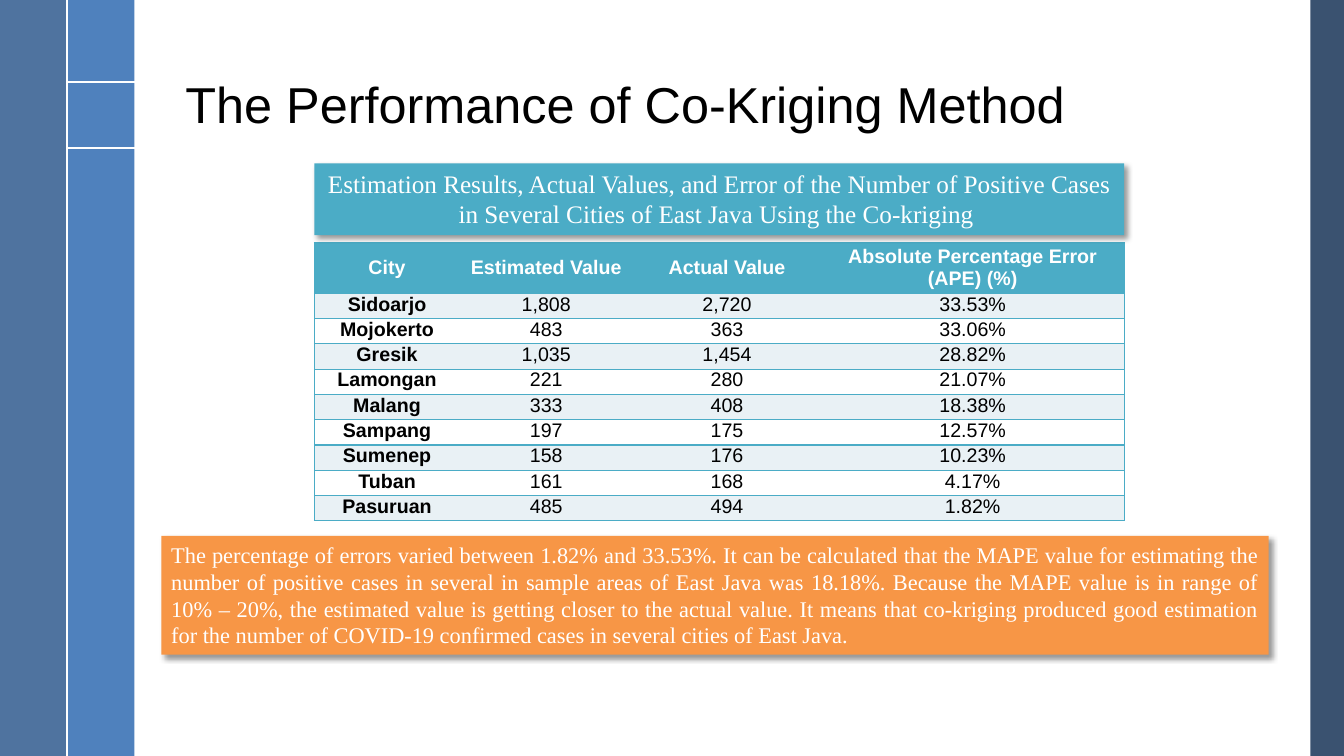
import dataclasses
import typing

import lxml.etree
import pptx
import pptx.dml.color
import pptx.enum.shapes
import pptx.enum.text
import pptx.oxml
import pptx.oxml.ns
import pptx.util

RGB = pptx.dml.color.RGBColor
ALIGN = pptx.enum.text.PP_ALIGN
ANCHOR = pptx.enum.text.MSO_ANCHOR

NAVY = RGB(0x25, 0x40, 0x61)
BLUE = RGB(0x4F, 0x81, 0xBD)
STEEL = RGB(0x37, 0x60, 0x92)
TEAL = RGB(0x4B, 0xAC, 0xC6)
PALE = RGB(0xE9, 0xF1, 0xF5)
ORANGE = RGB(0xF7, 0x96, 0x46)
WHITE = RGB(0xFF, 0xFF, 0xFF)
BLACK = RGB(0x00, 0x00, 0x00)

SLIDE_WIDTH = pptx.util.Inches(13.33)
SLIDE_HEIGHT = pptx.util.Inches(7.5)
COLUMNS, ROWS = 20, 10


@dataclasses.dataclass(frozen=True)
class Area:
    left: float
    top: float
    width: float
    height: float

    def lengths(self) -> tuple[int, int, int, int]:
        return col(self.left), row(self.top), col(self.width), row(self.height)


@dataclasses.dataclass(frozen=True)
class Bar:
    area: Area
    color: RGB
    opacity: int


@dataclasses.dataclass(frozen=True)
class Rule:
    start: tuple[float, float]
    end: tuple[float, float]


@dataclasses.dataclass(frozen=True)
class Callout:
    area: Area
    color: RGB
    size: int
    align: ALIGN
    text: str


class CityResult(typing.NamedTuple):
    city: str
    estimated: str
    actual: str
    error: str


BARS = [
    Bar(Area(19.5, 0, 0.5, ROWS), NAVY, 90),
    Bar(Area(1, 0, 1, ROWS), BLUE, 100),
    Bar(Area(0, 0, 1, ROWS), STEEL, 88),
]
RULES = [
    Rule((1, 1.08), (2.01, 1.08)),
    Rule((1, 1.96), (2.01, 1.96)),
    Rule((1, 0), (1, ROWS)),
]
TITLE_AREA = Area(2.61, 0.25, 16.05, 1.59)
TABLE_AREA = Area(4.68, 3.21, 12.05, 3.68)
TABLE_COLUMNS = [2.16, 2.58, 2.8, 4.51]
HEADER_HEIGHT = 0.67
RESULTS = [
    CityResult("City", "Estimated Value", "Actual Value", "Absolute Percentage Error (APE) (%)"),
    CityResult("Sidoarjo", "1,808", "2,720", "33.53%"),
    CityResult("Mojokerto", "483", "363", "33.06%"),
    CityResult("Gresik", "1,035", "1,454", "28.82%"),
    CityResult("Lamongan", "221", "280", "21.07%"),
    CityResult("Malang", "333", "408", "18.38%"),
    CityResult("Sampang", "197", "175", "12.57%"),
    CityResult("Sumenep", "158", "176", "10.23%"),
    CityResult("Tuban", "161", "168", "4.17%"),
    CityResult("Pasuruan", "485", "494", "1.82%"),
]
CALLOUTS = [
    Callout(Area(4.68, 2.16, 12.05, 0.95), TEAL, 18, ALIGN.CENTER,
            "Estimation Results, Actual Values, and Error of the Number of Positive Cases "
            "in Several Cities of East Java Using the Co-kriging "),
    Callout(Area(2.4, 7.09, 16.48, 1.57), ORANGE, 16, ALIGN.JUSTIFY,
            "The percentage of errors varied between 1.82% and 33.53%. It can be calculated that "
            "the MAPE value for estimating the number of positive cases in several in sample areas "
            "of East Java was 18.18%. Because the MAPE value is in range of 10% – 20%, the estimated "
            "value is getting closer to the actual value. It means that co-kriging produced good "
            "estimation for the number of COVID-19 confirmed cases in several cities of East Java. "),
]


def col(count: float) -> int:
    return round(SLIDE_WIDTH * count / COLUMNS)


def row(count: float) -> int:
    return round(SLIDE_HEIGHT * count / ROWS)


def element(parent, tag: str, **attributes: str):
    return lxml.etree.SubElement(parent, pptx.oxml.ns.qn(tag), attributes)


def style_text(frame, font: str, size: int, color: RGB, align: ALIGN, bold: bool = False) -> None:
    paragraph = frame.paragraphs[0]
    paragraph.alignment = align
    for run in paragraph.runs:
        run.font.name = font
        run.font.size = pptx.util.Pt(size)
        run.font.bold = bold
        run.font.color.rgb = color


def add_box(slide, area: Area, color: RGB):
    box = slide.shapes.add_shape(pptx.enum.shapes.MSO_SHAPE.RECTANGLE, *area.lengths())
    box.shadow.inherit = False
    box.fill.solid()
    box.fill.fore_color.rgb = color
    box.line.fill.background()
    return box


def add_bar(slide, bar: Bar) -> None:
    box = add_box(slide, bar.area, bar.color)
    if bar.opacity < 100:
        tint = box.fill._xPr.find(".//" + pptx.oxml.ns.qn("a:srgbClr"))
        element(tint, "a:alpha", val=str(bar.opacity * 1000))


def add_rule(slide, rule: Rule) -> None:
    (x1, y1), (x2, y2) = rule.start, rule.end
    line = slide.shapes.add_connector(
        pptx.enum.shapes.MSO_CONNECTOR.STRAIGHT, col(x1), row(y1), col(x2), row(y2))
    line.line.color.rgb = WHITE
    line.line.width = pptx.util.Pt(1.5)
    element(line._element.spPr, "a:effectLst")


def add_title(slide, text: str) -> None:
    title = slide.shapes.title
    title.left, title.top, title.width, title.height = TITLE_AREA.lengths()
    title.text_frame.text = text
    title.text_frame.vertical_anchor = ANCHOR.BOTTOM
    title.text_frame.paragraphs[0].line_spacing = 0.9
    style_text(title.text_frame, "Arial", 36, BLACK, ALIGN.LEFT)


def set_borders(cell, visible: set[str]) -> None:
    properties = cell._tc.get_or_add_tcPr()
    for position, side in enumerate("LRTB"):
        border = element(properties, f"a:ln{side}", w=str(pptx.util.Pt(1)))
        if side in visible:
            element(element(border, "a:solidFill"), "a:srgbClr", val=str(TEAL))
        else:
            element(border, "a:noFill")
        properties.insert(position, border)


def add_results(slide) -> None:
    table = slide.shapes.add_table(len(RESULTS), len(TABLE_COLUMNS), *TABLE_AREA.lengths()).table
    body_height = (TABLE_AREA.height - HEADER_HEIGHT) / (len(RESULTS) - 1)
    for column, width in zip(table.columns, TABLE_COLUMNS):
        column.width = col(width)
    for r, result in enumerate(RESULTS):
        header = r == 0
        table.rows[r].height = row(HEADER_HEIGHT if header else body_height)
        for c, value in enumerate(result):
            cell = table.cell(r, c)
            cell.text_frame.text = value
            cell.margin_left = cell.margin_right = pptx.util.Inches(0.07)
            cell.margin_top = cell.margin_bottom = 0
            cell.vertical_anchor = ANCHOR.MIDDLE if header else ANCHOR.TOP
            cell.fill.solid()
            cell.fill.fore_color.rgb = TEAL if header else PALE if r % 2 else WHITE
            style_text(cell.text_frame, "Arial", 14, WHITE if header else BLACK,
                       ALIGN.CENTER, header or c == 0)
            outer = {0: {"L"}, len(result) - 1: {"R"}}.get(c, set())
            set_borders(cell, {"T", "B"} | outer)


def add_callout(slide, callout: Callout) -> None:
    box = add_box(slide, callout.area, callout.color)
    effects = box._element.spPr.find(pptx.oxml.ns.qn("a:effectLst"))
    shadow = element(effects, "a:outerShdw", blurRad=str(pptx.util.Pt(4)),
                     dist=str(pptx.util.Pt(3)), dir=str(45 * 60000), algn="tl", rotWithShape="0")
    element(element(shadow, "a:srgbClr", val=str(BLACK)), "a:alpha", val="40000")
    box.text_frame.text = callout.text
    box.text_frame.word_wrap = True
    box.text_frame.vertical_anchor = ANCHOR.TOP
    style_text(box.text_frame, "Times New Roman", callout.size, WHITE, callout.align)


def main() -> None:
    """Build the slide on the co-kriging results and save it."""
    deck = pptx.Presentation()
    deck.slide_width, deck.slide_height = SLIDE_WIDTH, SLIDE_HEIGHT
    slide = deck.slides.add_slide(deck.slide_layouts[5])
    for bar in BARS:
        add_bar(slide, bar)
    for rule in RULES:
        add_rule(slide, rule)
    add_title(slide, "The Performance of Co-Kriging Method")
    add_results(slide)
    for callout in CALLOUTS:
        add_callout(slide, callout)
    deck.save("out.pptx")


if __name__ == "__main__":
    main()
